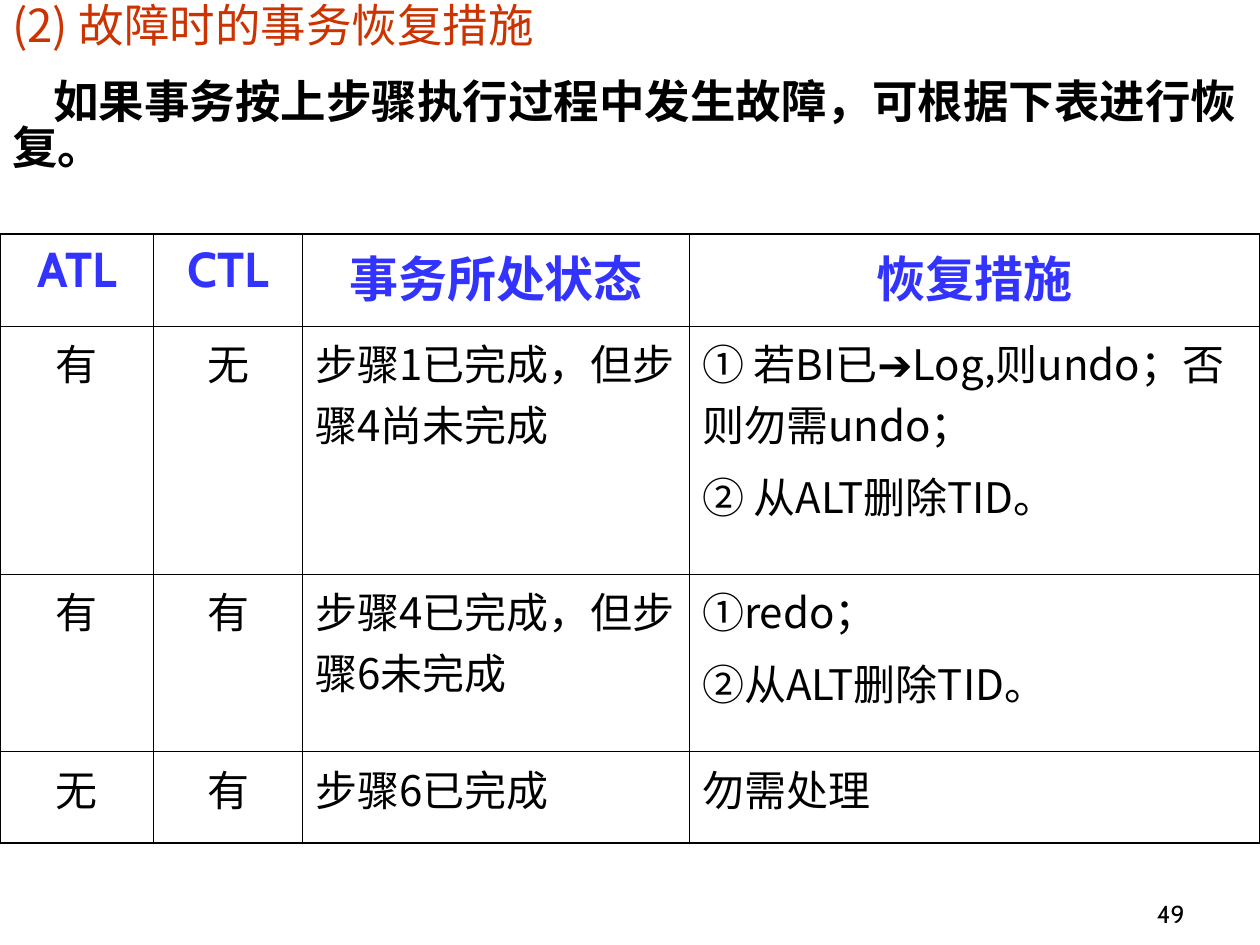
import pptx
import pptx.dml.color
import pptx.enum.text
import pptx.oxml
import pptx.oxml.ns
import pptx.util
from pptx.util import Cm, Pt

BLACK = pptx.dml.color.RGBColor(0x00, 0x00, 0x00)
RED = pptx.dml.color.RGBColor(0xCC, 0x33, 0x00)
BLUE = pptx.dml.color.RGBColor(0x33, 0x33, 0xFF)
ALIGN = pptx.enum.text.PP_ALIGN
LATIN = "Cabin"
BODY = "Noto Sans CJK JP"
BOLD_BODY = "Noto Sans CJK SC"
ARROW = "➔"

TITLE = "(2) 故障时的事务恢复措施"
INTRO = "如果事务按上步骤执行过程中发生故障，可根据下表进行恢复。"
PAGE_NUMBER = "49"
HEADER = ["ATL", "CTL", "事务所处状态", "恢复措施"]
CASES = [
    ["有", "无", "步骤1已完成，但步骤4尚未完成",
     "① 若BI已➔Log,则undo；否则勿需undo；\n② 从ALT删除TID。"],
    ["有", "有", "步骤4已完成，但步骤6未完成", "①redo；\n②从ALT删除TID。"],
    ["无", "有", "步骤6已完成", "勿需处理"],
]
COLUMN_WIDTHS = [3.1, 3.0, 7.8, 11.5]
ROW_HEIGHTS = [1.85, 5.0, 3.58, 1.85]
THIN, THICK = Pt(0.45), Pt(1.08)


def style_span(span, size, latin, east_asian, color, bold=False):
    font = span.font
    font.size, font.name, font.bold = Pt(size), latin, bold
    font.color.rgb = color
    face = pptx.oxml.parse_xml(
        f'<a:ea {pptx.oxml.ns.nsdecls("a")} typeface="{east_asian}"/>')
    font._element.find(pptx.oxml.ns.qn("a:latin")).addnext(face)


def add_text(page, text, place, style, align=ALIGN.LEFT):
    box = page.shapes.add_textbox(*[Cm(length) for length in place])
    frame = box.text_frame
    frame.word_wrap = True
    frame.text = text
    para = frame.paragraphs[0]
    para.alignment = align
    style_span(para.runs[0], *style)
    return frame


def set_borders(cell, widths):
    """Draw the cell's edges; widths are left, right, top, bottom."""
    properties = cell._tc.get_or_add_tcPr()
    for side, width in zip("LRTB", widths):
        properties.append(pptx.oxml.parse_xml(
            f'<a:ln{side} {pptx.oxml.ns.nsdecls("a")} w="{int(width)}">'
            f'<a:solidFill><a:srgbClr val="{BLACK}"/></a:solidFill></a:ln{side}>'))
    cell.fill.background()


def fill_cell(cell, text, is_header, centred):
    frame = cell.text_frame
    for index, line in enumerate(text.split("\n")):
        para = frame.add_paragraph() if index else frame.paragraphs[0]
        para.alignment = ALIGN.CENTER if centred else ALIGN.LEFT
        if index:
            para.space_before = Pt(6)
        before, arrow, after = line.partition(ARROW)
        for part in filter(None, (before, arrow, after)):
            span = para.add_run()
            span.text = part
            if is_header:
                style_span(span, 28, LATIN, BOLD_BODY, BLUE, True)
            else:
                style_span(span, 24, "Arial" if part == ARROW else BODY, BODY, BLACK)


def add_recovery_table(page):
    rows = [HEADER] + CASES
    last_row, last_column = len(rows) - 1, len(HEADER) - 1
    table = page.shapes.add_table(
        len(rows), len(HEADER), Cm(0), Cm(4.72),
        Cm(sum(COLUMN_WIDTHS)), Cm(sum(ROW_HEIGHTS))).table
    for column, width in zip(table.columns, COLUMN_WIDTHS):
        column.width = Cm(width)
    for row, height in zip(table.rows, ROW_HEIGHTS):
        row.height = Cm(height)
    for r, texts in enumerate(rows):
        for c, text in enumerate(texts):
            cell = table.cell(r, c)
            fill_cell(cell, text, r == 0, r == 0 or c < 2)
            outer = (c == 0, c == last_column, r == 0, r == last_row)
            set_borders(cell, [THICK if edge else THIN for edge in outer])


def main():
    deck = pptx.Presentation()
    deck.slide_width, deck.slide_height = Cm(25.4), Cm(19.05)
    page = deck.slides.add_slide(deck.slide_layouts[6])

    title = add_text(page, TITLE, (0, 0, 25.4, 1.37), (26, BODY, BODY, RED))
    intro = add_text(page, INTRO, (0, 1.52, 25.4, 2.46),
                     (26, BOLD_BODY, BOLD_BODY, BLACK, True))
    for frame in (title, intro):
        frame.paragraphs[0].line_spacing = 0.84
    intro.paragraphs[0]._p.get_or_add_pPr().set("indent", str(int(Cm(0.82))))

    add_recovery_table(page)
    number = add_text(page, PAGE_NUMBER, (18.85, 17.58, 5.28, 1.27),
                      (14, LATIN, BODY, BLACK), ALIGN.RIGHT)
    number.vertical_anchor = pptx.enum.text.MSO_ANCHOR.BOTTOM
    deck.save("out.pptx")


if __name__ == "__main__":
    main()
